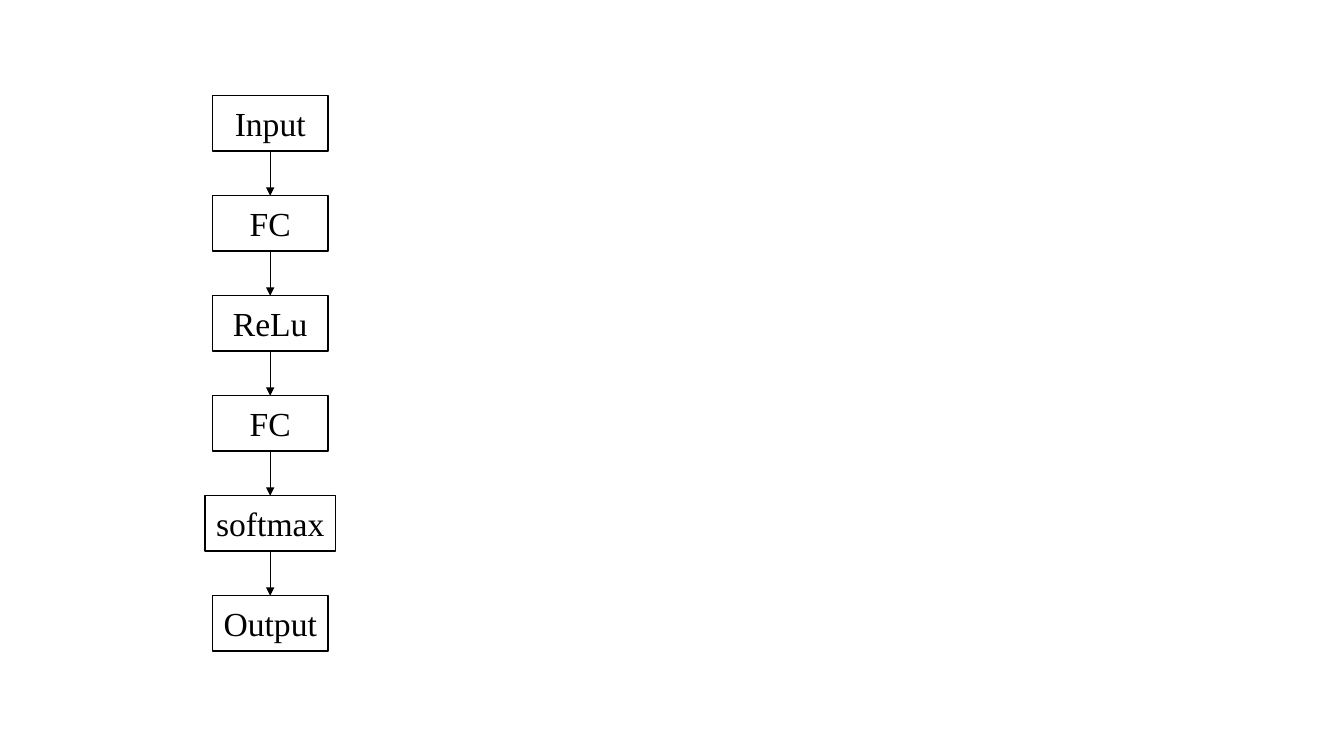
from pptx import Presentation
from pptx import util as u
from pptx.dml.color import RGBColor
from pptx.enum import shapes, text
from pptx.oxml.ns import qn
from lxml import etree

COLORS = {"ink": "000000", "paper": "FFFFFF"}
ink = RGBColor.from_string(COLORS["ink"])
paper = RGBColor.from_string(COLORS["paper"])

deck = Presentation()
deck.slide_width, deck.slide_height = u.Inches(13.33), u.Inches(7.5)
slide = deck.slides.add_slide(deck.slide_layouts[6])

# Network layers, top to bottom, centred on one axis
layers = [("Input", 1.15), ("FC", 1.15), ("ReLu", 1.15),
          ("FC", 1.15), ("softmax", 1.29), ("Output", 1.15)]
axis, top, step, height = 2.68, 0.95, 0.992, 0.55
boxes = []
for row, (name, width) in enumerate(layers):
    box = slide.shapes.add_shape(
        shapes.MSO_SHAPE.RECTANGLE, u.Inches(axis - width / 2),
        u.Inches(top + row * step), u.Inches(width), u.Inches(height))
    box.shadow.inherit = False
    box.fill.solid()
    box.fill.fore_color.rgb = paper
    box.line.color.rgb = ink
    box.line.width = u.Pt(1)
    frame = box.text_frame
    frame.word_wrap = False
    frame.vertical_anchor = text.MSO_ANCHOR.MIDDLE
    label = frame.paragraphs[0]
    label.text = name
    label.alignment = text.PP_ALIGN.CENTER
    label.font.name = "Times New Roman"
    label.font.size = u.Pt(24)
    label.font.color.rgb = ink
    boxes.append(box)

# Arrows from each layer to the next
for upper, lower in zip(boxes, boxes[1:]):
    arrow = slide.shapes.add_connector(shapes.MSO_CONNECTOR.STRAIGHT, 0, 0, 0, 0)
    arrow.begin_connect(upper, 2)
    arrow.end_connect(lower, 0)
    arrow.line.color.rgb = ink
    arrow.line.width = u.Pt(1)
    etree.SubElement(arrow.line._get_or_add_ln(), qn("a:tailEnd"), type="triangle")
    etree.SubElement(arrow._element.spPr, qn("a:effectLst"))

deck.save("out.pptx")
